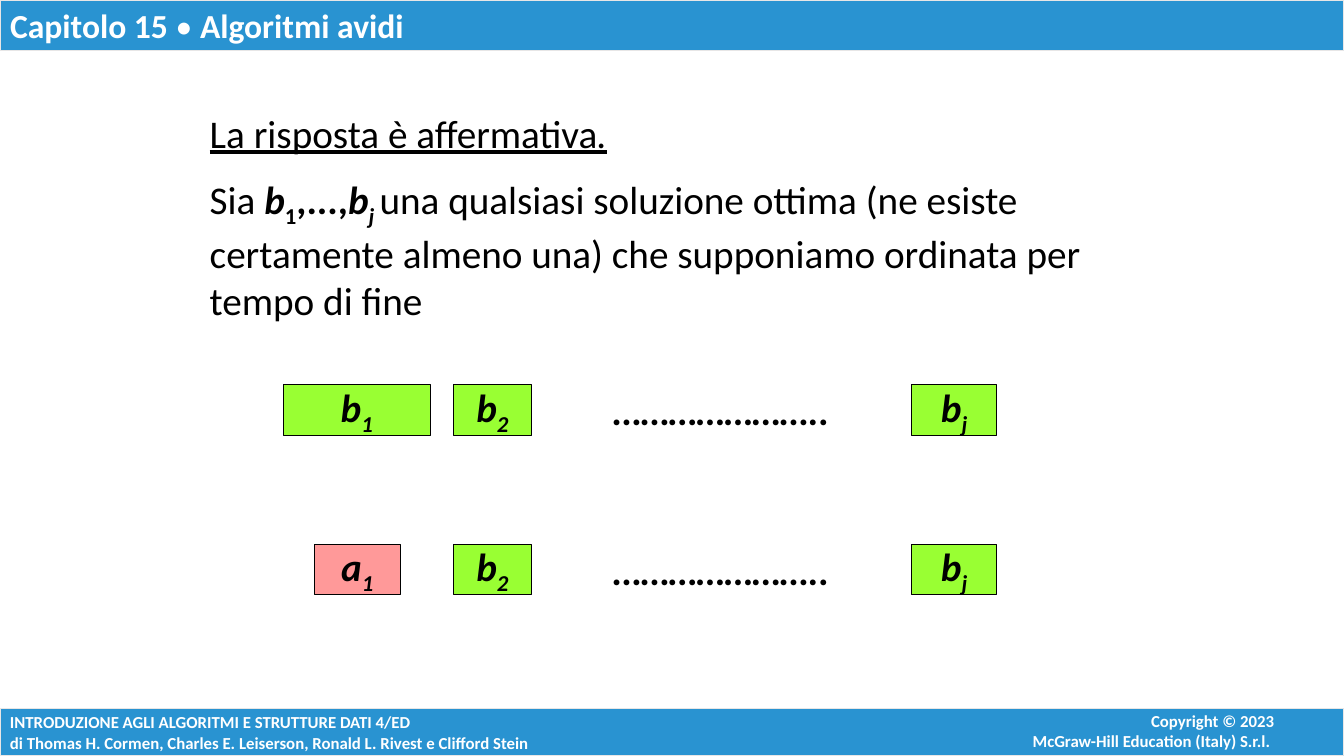
"""Build the slide on exchanging the first activity of an optimal solution."""
from dataclasses import dataclass

from lxml import etree
from pptx import Presentation
from pptx.dml.color import RGBColor
from pptx.enum.shapes import MSO_SHAPE
from pptx.enum.text import MSO_ANCHOR, MSO_AUTO_SIZE, PP_ALIGN
from pptx.oxml.ns import qn
from pptx.shapes.autoshape import Shape
from pptx.slide import Slide
from pptx.util import Pt

RECTANGLE = MSO_SHAPE.RECTANGLE
TOP, MIDDLE = MSO_ANCHOR.TOP, MSO_ANCHOR.MIDDLE
LEFT, CENTER, RIGHT = PP_ALIGN.LEFT, PP_ALIGN.CENTER, PP_ALIGN.RIGHT
NO_AUTOFIT = MSO_AUTO_SIZE.NONE

BLUE = RGBColor(0x29, 0x93, 0xD1)
PALE_GRAY = RGBColor(0xE7, 0xE6, 0xE6)
WHITE = RGBColor(0xFF, 0xFF, 0xFF)
BLACK = RGBColor(0, 0, 0)
GREEN = RGBColor(0x99, 0xFF, 0x33)
PINK = RGBColor(0xFF, 0x99, 0x99)

CHAPTER_FORMAT = {"name": "Calibri", "size": Pt(24), "bold": True}
FOOTER_FORMAT = {"name": "Calibri", "size": Pt(12), "bold": True}
BODY_FORMAT = {"name": "Calibri", "size": Pt(28), "bold": False}
SYMBOL_FORMAT = {"name": "Calibri", "size": Pt(28), "bold": True, "italic": True}

DOTS = "………………….."
ACTIVITY_HEIGHT = 36


@dataclass(frozen=True)
class Span:
    text: str
    bold: bool | None = None
    italic: bool | None = None
    underline: bool | None = None
    subscript: bool = False


@dataclass(frozen=True)
class Box:
    left: float
    top: float
    width: float
    height: float

    def lengths(self) -> tuple[Pt, Pt, Pt, Pt]:
        return Pt(self.left), Pt(self.top), Pt(self.width), Pt(self.height)


@dataclass(frozen=True)
class Activity:
    letter: str
    index: str
    left: float
    width: float
    fill: RGBColor


FIRST_OPTIMAL = Activity("b", "1", 202.3, 105.1, GREEN)
FIRST_GREEDY = Activity("a", "1", 224.6, 61.2, PINK)
SHARED = (
    Activity("b", "2", 324, 55.4, GREEN),
    Activity("b", "j", 650.9, 61.2, GREEN),
)
SOLUTION_ROWS = ((275, FIRST_OPTIMAL), (388.8, FIRST_GREEDY))

CHAPTER = [[Span("Capitolo 15 "), Span("•", bold=False), Span(" Algoritmi avidi")]]
BOOK = [
    [Span("INTRODUZIONE AGLI ALGORITMI E STRUTTURE DATI 4/ED")],
    [Span("di Thomas H. Cormen, Charles E. Leiserson, Ronald L. Rivest e Clifford Stein")],
]
COPYRIGHT = [
    [Span("Copyright © 2023")],
    [Span("McGraw-Hill Education (Italy) S.r.l. ")],
]
ANSWER = [
    [
        Span("La risposta è affermativa", underline=True),
        Span(".", italic=True, underline=True),
    ],
    [
        Span("Sia "),
        Span("b", bold=True, italic=True),
        Span("1", bold=True, subscript=True),
        Span(",...,", bold=True),
        Span("b", bold=True, italic=True),
        Span("j ", bold=True, italic=True, subscript=True),
        Span(
            "una qualsiasi soluzione ottima (ne esiste certamente almeno una) "
            "che supponiamo ordinata per tempo di fine"
        ),
    ],
]


def write(
    shape: Shape,
    lines: list[list[Span]],
    style: dict,
    color: RGBColor,
    align: PP_ALIGN,
    anchor: MSO_ANCHOR,
    wrap: bool = True,
    gap: float = 0,
) -> None:
    frame = shape.text_frame
    frame_format = {
        "auto_size": NO_AUTOFIT,
        "word_wrap": wrap,
        "vertical_anchor": anchor,
        "margin_left": Pt(7.2),
        "margin_right": Pt(7.2),
        "margin_top": Pt(3.6),
        "margin_bottom": Pt(3.6),
    }
    for key, value in frame_format.items():
        setattr(frame, key, value)
    for position, spans in enumerate(lines):
        paragraph = frame.add_paragraph() if position else frame.paragraphs[0]
        properties = paragraph._p.get_or_add_pPr()
        properties.set("marL", "0")
        properties.set("indent", "0")
        etree.SubElement(properties, qn("a:buNone"))
        paragraph.alignment = align
        paragraph.space_before = Pt(gap if position else 0)
        for span in spans:
            run = paragraph.add_run()
            run.text = span.text
            emphasis = {
                key: getattr(span, key)
                for key in ("bold", "italic", "underline")
                if getattr(span, key) is not None
            }
            for key, value in (style | emphasis).items():
                setattr(run.font, key, value)
            run.font.color.rgb = color
            if span.subscript:
                run._r.get_or_add_rPr().set("baseline", "-25000")


def paint(shape: Shape, fill: RGBColor, line: RGBColor) -> None:
    shape.fill.solid()
    shape.fill.fore_color.rgb = fill
    shape.line.color.rgb = line
    shape.line.width = Pt(0.75)


def place(shape: Shape, box: Box) -> None:
    shape.left, shape.top, shape.width, shape.height = box.lengths()


def add_rectangle(slide: Slide, box: Box, fill: RGBColor, line: RGBColor) -> Shape:
    rectangle = slide.shapes.add_shape(RECTANGLE, *box.lengths())
    rectangle.shadow.inherit = False
    paint(rectangle, fill, line)
    return rectangle


def add_activity(slide: Slide, activity: Activity, top: float) -> None:
    box = Box(activity.left, top, activity.width, ACTIVITY_HEIGHT)
    interval = add_rectangle(slide, box, activity.fill, BLACK)
    symbol = [[Span(activity.letter), Span(activity.index, subscript=True)]]
    write(interval, symbol, SYMBOL_FORMAT, BLACK, CENTER, MIDDLE, wrap=False)


def add_solution(slide: Slide, top: float, first: Activity) -> None:
    for activity in (first, *SHARED):
        add_activity(slide, activity, top)
    box = Box(401.8, top, 226.8, ACTIVITY_HEIGHT)
    omitted = slide.shapes.add_textbox(*box.lengths())
    write(omitted, [[Span(DOTS)]], SYMBOL_FORMAT, BLACK, CENTER, MIDDLE, wrap=False)


def main() -> None:
    deck = Presentation()
    deck.slide_width, deck.slide_height = Pt(960), Pt(540)
    slide = deck.slides.add_slide(deck.slide_layouts[1])

    chapter = slide.shapes.title
    place(chapter, Box(0, 0, 960, 36))
    paint(chapter, BLUE, PALE_GRAY)
    write(chapter, CHAPTER, CHAPTER_FORMAT, WHITE, LEFT, TOP)

    answer = slide.placeholders[1]
    place(answer, Box(142.6, 74.2, 675.4, 159.8))
    write(answer, ANSWER, BODY_FORMAT, BLACK, LEFT, TOP, gap=14)

    footer = add_rectangle(slide, Box(0, 506.2, 960, 33.8), BLUE, PALE_GRAY)
    write(footer, BOOK, FOOTER_FORMAT, WHITE, LEFT, MIDDLE, wrap=False)
    rights = slide.shapes.add_textbox(*Box(640, 504, 277.3, 36).lengths())
    write(rights, COPYRIGHT, FOOTER_FORMAT, WHITE, RIGHT, TOP)

    for top, first in SOLUTION_ROWS:
        add_solution(slide, top, first)
    deck.save("out.pptx")


if __name__ == "__main__":
    main()
